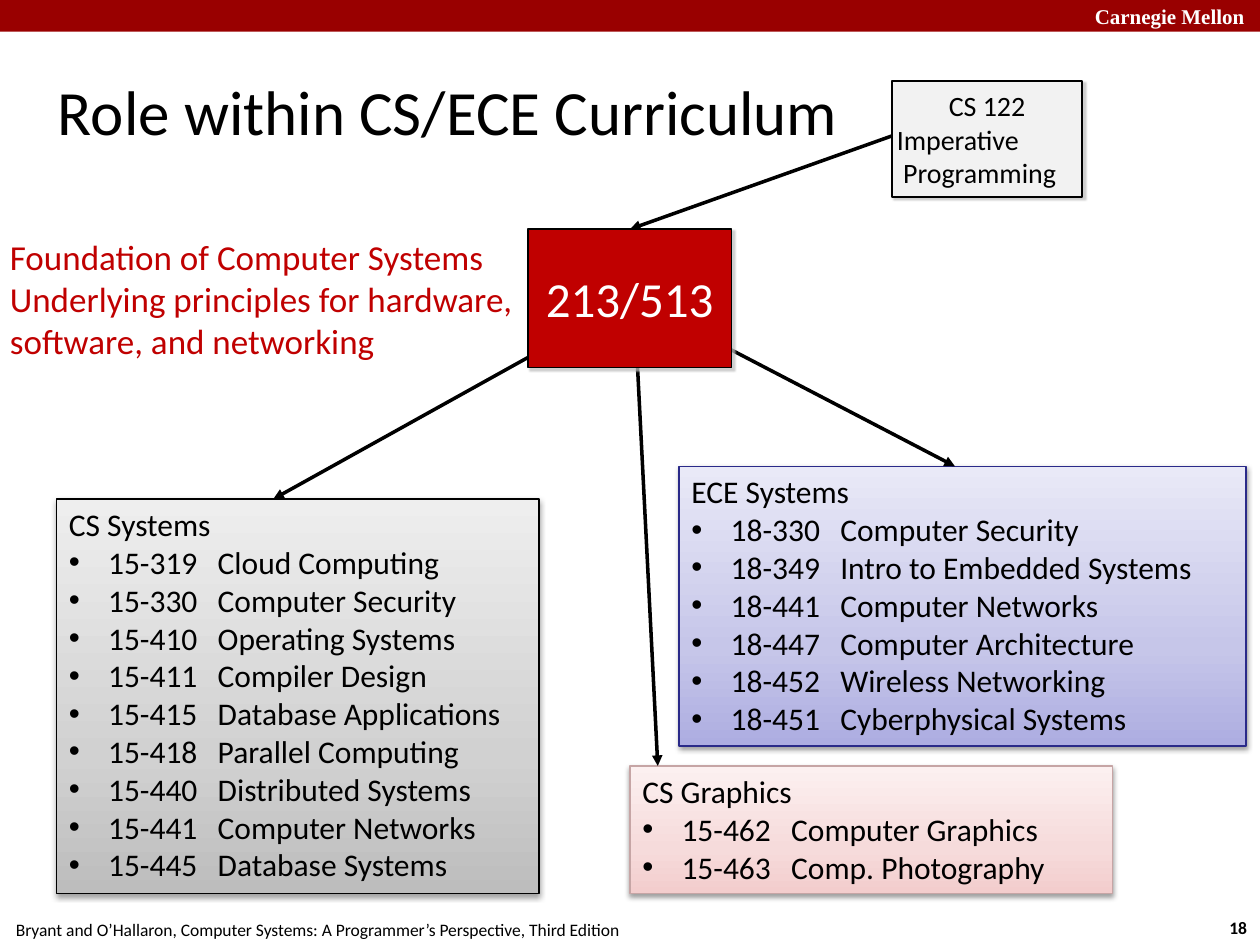
"""Build the slide that places course 213/513 within the CS and ECE curriculum."""
from lxml.etree import SubElement
from pptx import Presentation
from pptx.dml.color import RGBColor
from pptx.enum.shapes import MSO_CONNECTOR as Connector, MSO_SHAPE as Shape
from pptx.enum.text import MSO_ANCHOR as Anchor, PP_ALIGN as Align
from pptx.oxml.ns import qn
from pptx.util import Cm, Pt

COLORS = {
    "black": "000000", "white": "FFFFFF", "banner": "990000", "red": "C00000",
    "pale": "F2F2F2", "silver": "C0C0C0", "navy": "2A2A89", "rose": "C6A5A5",
}
GRADIENTS = {
    "gray": ("BDBDBD", "D1D1D1", "EEEEEE"),
    "blue": ("ADADE1", "C6C6E9", "E9E9F7"),
    "pink": ("F3CDCD", "F6DBDB", "FCF0F0"),
}
STOPS = (0, 35, 100)
HARD_SHADOW = ("silver", 75, 1, 2, 45)
SOFT_SHADOW = ("black", 38, 3.1, 1.6, 90)

TITLE = "Role within CS/ECE Curriculum"
SUMMARY = ("Foundation of Computer Systems\vUnderlying principles for hardware,"
           "\vsoftware, and networking")
FOOTER = ("Bryant and O’Hallaron, Computer Systems: "
          "A Programmer’s Perspective, Third Edition")
COURSE_LISTS = [
    ("CS Systems", (1.14, 10.06, 9.73, 7.95), "gray", "black", [
        ("15-319", "Cloud Computing"), ("15-330", "Computer Security"),
        ("15-410", "Operating Systems"), ("15-411", "Compiler Design"),
        ("15-415", "Database Applications"), ("15-418", "Parallel Computing"),
        ("15-440", "Distributed Systems"), ("15-441", "Computer Networks"),
        ("15-445", "Database Systems")]),
    ("ECE Systems", (13.69, 9.4, 11.43, 5.64), "blue", "navy", [
        ("18-330", "Computer Security"), ("18-349", "Intro to Embedded Systems"),
        ("18-441", "Computer Networks"), ("18-447", "Computer Architecture"),
        ("18-452", "Wireless Networking"), ("18-451", "Cyberphysical Systems")]),
    ("CS Graphics", (12.7, 15.44, 9.73, 2.57), "pink", "rose", [
        ("15-462", "Computer Graphics"), ("15-463", "Comp. Photography")]),
]
ARROWS = [
    ((17.98, 2.74), (12.7, 4.62)),
    ((12.83, 5.99), (5.51, 10.06)),
    ((12.78, 5.99), (13.26, 15.44)),
    ((12.7, 5.99), (19.25, 9.4)),
]


def rgb(name):
    return RGBColor.from_string(COLORS[name])


def write(shape, text, size, color="black", font="Calibri", bold=False,
          align=Align.LEFT, anchor=Anchor.TOP, inset=None, wrap=True):
    frame = shape.text_frame
    frame.text = text
    frame.word_wrap = wrap
    frame.vertical_anchor = anchor
    if inset is not None:
        frame.margin_left = frame.margin_right = Cm(inset)
        frame.margin_top = frame.margin_bottom = Cm(inset)
    for para in frame.paragraphs:
        para.alignment = align
        for span in para.runs:
            span.font.size = Pt(size)
            span.font.name = font
            span.font.bold = bold
            span.font.color.rgb = rgb(color)
    return frame


def add_text(page, place, text, size, **style):
    box = page.shapes.add_textbox(*map(Cm, place))
    return write(box, text, size, **style)


def add_box(page, place, fill=None, line=None, width=1, shadow=None):
    box = page.shapes.add_shape(Shape.RECTANGLE, *map(Cm, place))
    if fill:
        box.fill.solid()
        box.fill.fore_color.rgb = rgb(fill)
    if line:
        box.line.color.rgb = rgb(line)
        box.line.width = Pt(width)
    else:
        box.line.fill.background()
    box.shadow.inherit = False
    if shadow:
        color, alpha, blur, distance, angle = shadow
        effects = box._element.spPr.find(qn("a:effectLst"))
        outer = SubElement(effects, qn("a:outerShdw"), blurRad=str(Pt(blur)),
                           dist=str(Pt(distance)), dir=str(angle * 60000),
                           algn="ctr", rotWithShape="0")
        tint = SubElement(outer, qn("a:srgbClr"), val=COLORS[color])
        SubElement(tint, qn("a:alpha"), val=str(alpha * 1000))
    return box


def fill_gradient(box, colors):
    box.fill.gradient()
    box.fill.gradient_angle = 90
    stops = box._element.spPr.find(qn("a:gradFill")).find(qn("a:gsLst"))
    for old in list(stops):
        stops.remove(old)
    for position, color in zip(STOPS, colors):
        stop = SubElement(stops, qn("a:gs"), pos=str(position * 1000))
        SubElement(stop, qn("a:srgbClr"), val=color)


def add_course_list(page, heading, place, gradient, line, courses):
    box = add_box(page, place, line=line, width=0.75, shadow=SOFT_SHADOW)
    fill_gradient(box, GRADIENTS[gradient])
    rows = [heading] + [f"{number}\t{name}" for number, name in courses]
    frame = write(box, "\n".join(rows), 18)
    for para in frame.paragraphs[1:]:
        props = para._p.get_or_add_pPr()
        props.set("marL", str(Cm(0.79)))
        props.set("indent", str(-Cm(0.79)))
        SubElement(props, qn("a:buFont"), typeface="Arial")
        SubElement(props, qn("a:buChar"), char="•")
        tabs = SubElement(props, qn("a:tabLst"))
        SubElement(tabs, qn("a:tab"), pos=str(Cm(3)), algn="l")


def add_arrow(page, start, end):
    arrow = page.shapes.add_connector(Connector.STRAIGHT, *map(Cm, start + end))
    arrow.line.color.rgb = rgb("black")
    arrow.line.width = Pt(2)
    SubElement(arrow.line._get_or_add_ln(), qn("a:tailEnd"), type="triangle")
    SubElement(arrow._element.spPr, qn("a:effectLst"))


def main():
    deck = Presentation()
    deck.slide_width, deck.slide_height = Cm(25.4), Cm(19.05)
    page = deck.slides.add_slide(deck.slide_layouts[6])

    add_text(page, (24.49, 18.36, 0.94, 0.69), "18", 10, bold=True,
             align=Align.CENTER, wrap=False)
    add_text(page, (-0.05, 18.41, 12.9, 0.69), FOOTER, 10,
             align=Align.CENTER, wrap=False)
    add_box(page, (0, 0, 25.4, 0.64), "banner")
    add_text(page, (21.82, -0.05, 3.53, 0.76), "Carnegie Mellon", 12,
             color="white", font="Times New Roman", bold=True, wrap=False)
    add_text(page, (1.07, 0.71, 23.29, 3.02), TITLE, 36,
             anchor=Anchor.MIDDLE, inset=0.1)

    prerequisite = add_box(page, (17.98, 1.63, 3.84, 2.34), "pale", "black",
                           shadow=HARD_SHADOW)
    frame = write(prerequisite, "CS 122\nImperative\n Programming", 16,
                  anchor=Anchor.MIDDLE, inset=0.1)
    frame.paragraphs[0].alignment = Align.CENTER
    add_text(page, (0.1, 4.65, 10.82, 2.74), SUMMARY, 20, color="red", inset=0.1)

    for course_list in COURSE_LISTS:
        add_course_list(page, *course_list)
    for start, end in ARROWS:
        add_arrow(page, start, end)

    course = add_box(page, (10.64, 4.62, 4.11, 2.79), "red", "black",
                     shadow=HARD_SHADOW)
    write(course, "213/513", 28, color="white", align=Align.CENTER,
          anchor=Anchor.MIDDLE, inset=0)
    deck.save("out.pptx")


if __name__ == "__main__":
    main()
